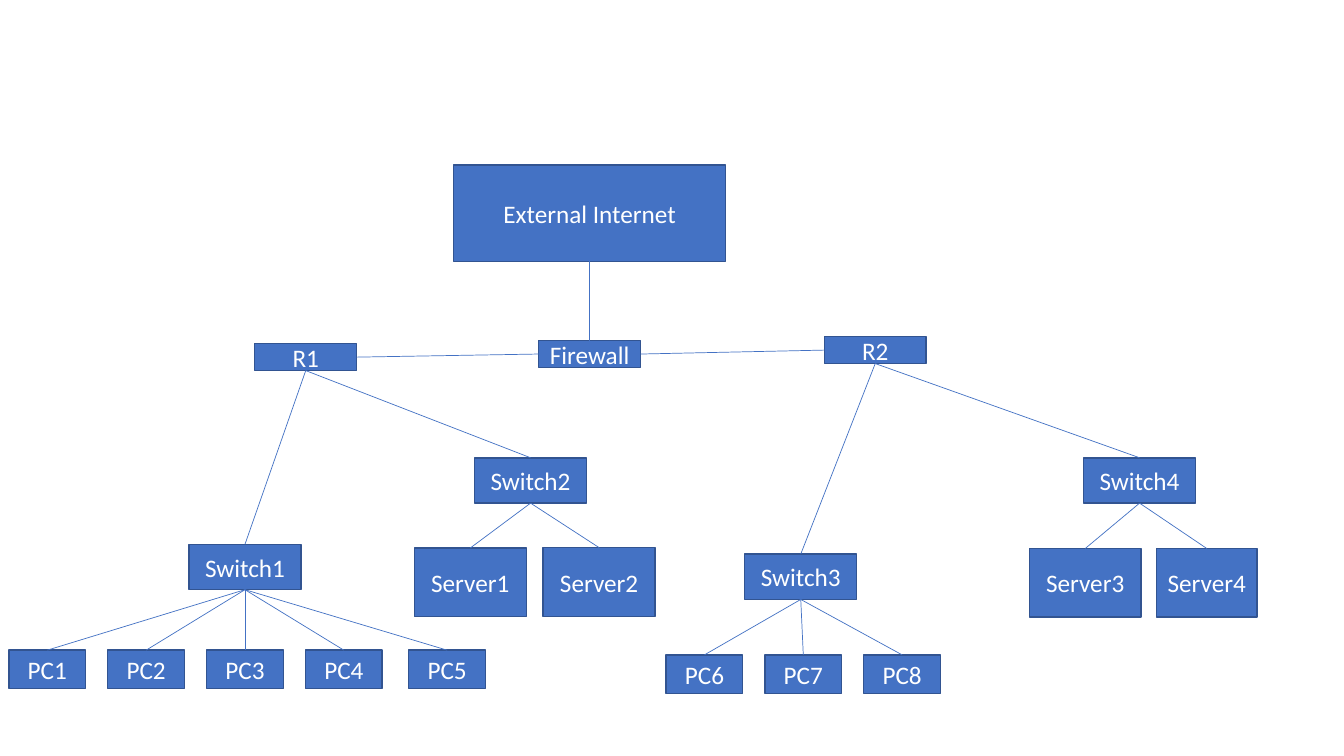
from dataclasses import dataclass

from pptx import Presentation
from pptx.dml.color import RGBColor
from pptx.enum.shapes import MSO_CONNECTOR, MSO_SHAPE
from pptx.enum.text import MSO_ANCHOR, PP_ALIGN
from pptx.oxml.ns import qn
from pptx.util import Pt
from lxml import etree

TOP, LEFT, BOTTOM, RIGHT = range(4)


@dataclass(frozen=True)
class Theme:
    fill: RGBColor = RGBColor(0x44, 0x72, 0xC4)
    border: RGBColor = RGBColor(0x32, 0x54, 0x91)
    text: RGBColor = RGBColor(0xFF, 0xFF, 0xFF)
    font: str = "Calibri"
    size: float = 18
    border_width: float = 1
    link_width: float = 0.5


class Diagram:
    def __init__(self, slide, theme):
        self.s, self.theme = slide, theme
        self.nodes = {}

    def node(self, name, x, y, w, h):
        t = self.theme
        sp = self.s.shapes.add_shape(MSO_SHAPE.RECTANGLE, Pt(x), Pt(y), Pt(w), Pt(h))
        sp.shadow.inherit = False
        sp.fill.solid()
        sp.fill.fore_color.rgb = t.fill
        sp.line.color.rgb = t.border
        sp.line.width = Pt(t.border_width)
        tf = sp.text_frame
        tf.word_wrap = True
        tf.vertical_anchor = MSO_ANCHOR.MIDDLE
        p = tf.paragraphs[0]
        p.alignment = PP_ALIGN.CENTER
        r = p.add_run()
        r.text = name
        for key, value in {"name": t.font, "size": Pt(t.size)}.items():
            setattr(r.font, key, value)
        r.font.color.rgb = t.text
        self.nodes[name] = sp

    def link(self, start, end, start_side=BOTTOM, end_side=TOP):
        c = self.s.shapes.add_connector(MSO_CONNECTOR.STRAIGHT, 0, 0, 0, 0)
        c.begin_connect(self.nodes[start], start_side)
        c.end_connect(self.nodes[end], end_side)
        c.line.color.rgb = self.theme.fill
        c.line.width = Pt(self.theme.link_width)
        etree.SubElement(c._element.spPr, qn("a:effectLst"))


# Node sizes (width, height) and positions (left, top)
CLOUD, ROUTER, SWITCH = (194.4, 68.8), (72.8, 19.2), (80, 32.4)
SERVER, NARROW_SERVER, PC = (80, 49), (72, 49), (54.8, 27.4)
PC_STEP = 70.6

NODES = [
    ("External Internet", 324, 117.8, CLOUD),
    ("Firewall", 384.8, 243.3, ROUTER),
    ("R1", 182, 245.5, ROUTER),
    ("R2", 588.8, 240.5, ROUTER),
    ("Switch1", 135, 388.8, SWITCH),
    ("Switch2", 339, 327, SWITCH),
    ("Switch3", 532, 395.8, SWITCH),
    ("Switch4", 774, 327, SWITCH),
    ("Server1", 296, 391.4, SERVER),
    ("Server2", 388, 391.2, SERVER),
    ("Server3", 735.2, 391.8, SERVER),
    ("Server4", 826, 391.8, NARROW_SERVER),
    *[(f"PC{i + 1}", 6.4 + i * PC_STEP, 464.4, PC) for i in range(4)],
    ("PC5", 292, 464.4, PC),
    *[(f"PC{i + 6}", 475.8 + i * PC_STEP, 467.8, PC) for i in range(3)],
]

# Each parent and the nodes below it
TREE = {
    "External Internet": ["Firewall"],
    "R1": ["Switch1", "Switch2"],
    "R2": ["Switch3", "Switch4"],
    "Switch1": ["PC1", "PC2", "PC3", "PC4", "PC5"],
    "Switch2": ["Server1", "Server2"],
    "Switch3": ["PC6", "PC7", "PC8"],
    "Switch4": ["Server3", "Server4"],
}


def main():
    prs = Presentation()
    prs.slide_width, prs.slide_height = Pt(960), Pt(540)
    diagram = Diagram(prs.slides.add_slide(prs.slide_layouts[6]), Theme())

    # Nodes
    for name, x, y, size in NODES:
        diagram.node(name, x, y, *size)

    # Links down the tree
    for parent, children in TREE.items():
        for child in children:
            diagram.link(parent, child)

    # Links from the firewall to the routers
    diagram.link("Firewall", "R1", LEFT, RIGHT)
    diagram.link("Firewall", "R2", RIGHT, LEFT)

    prs.save("out.pptx")


if __name__ == "__main__":
    main()
